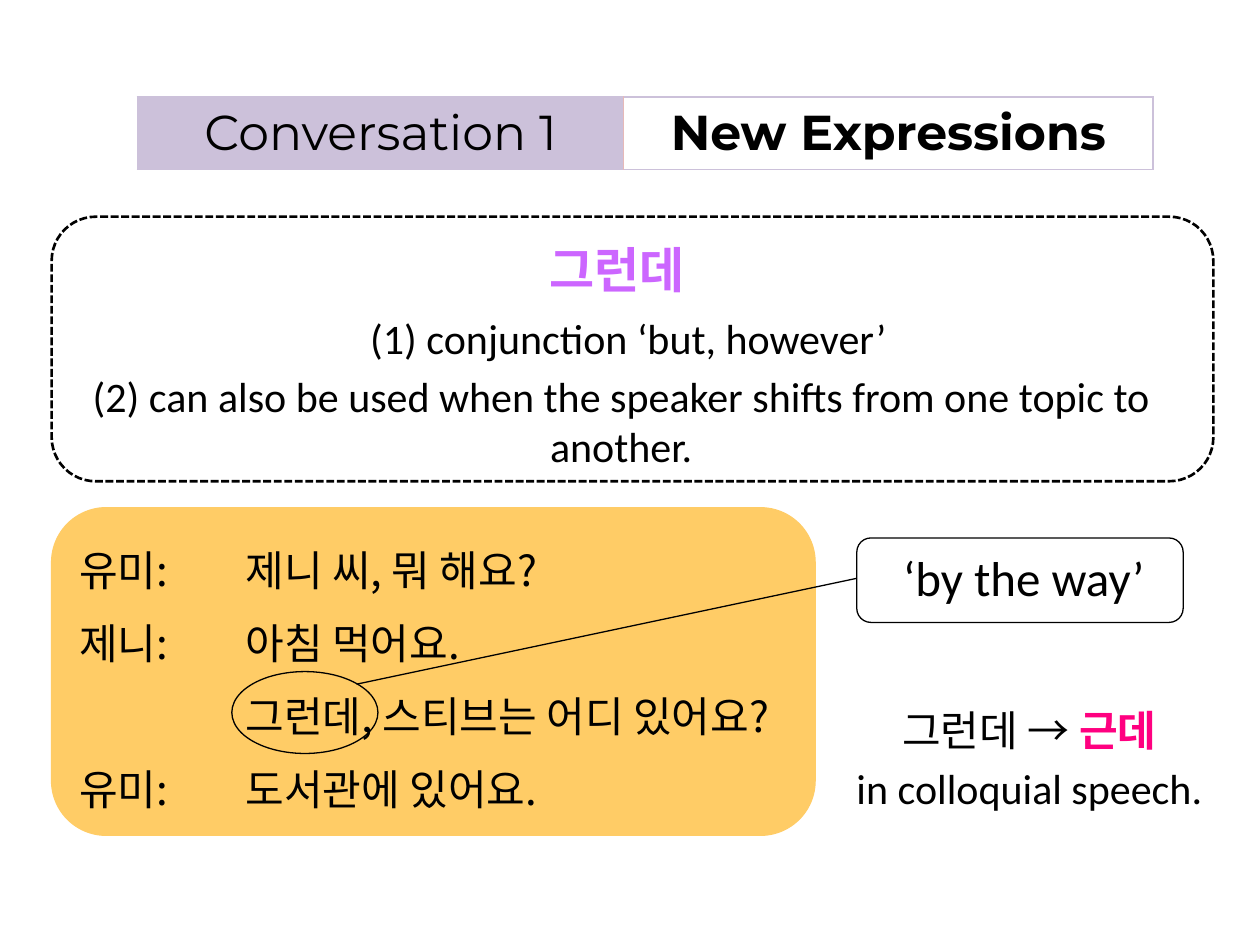
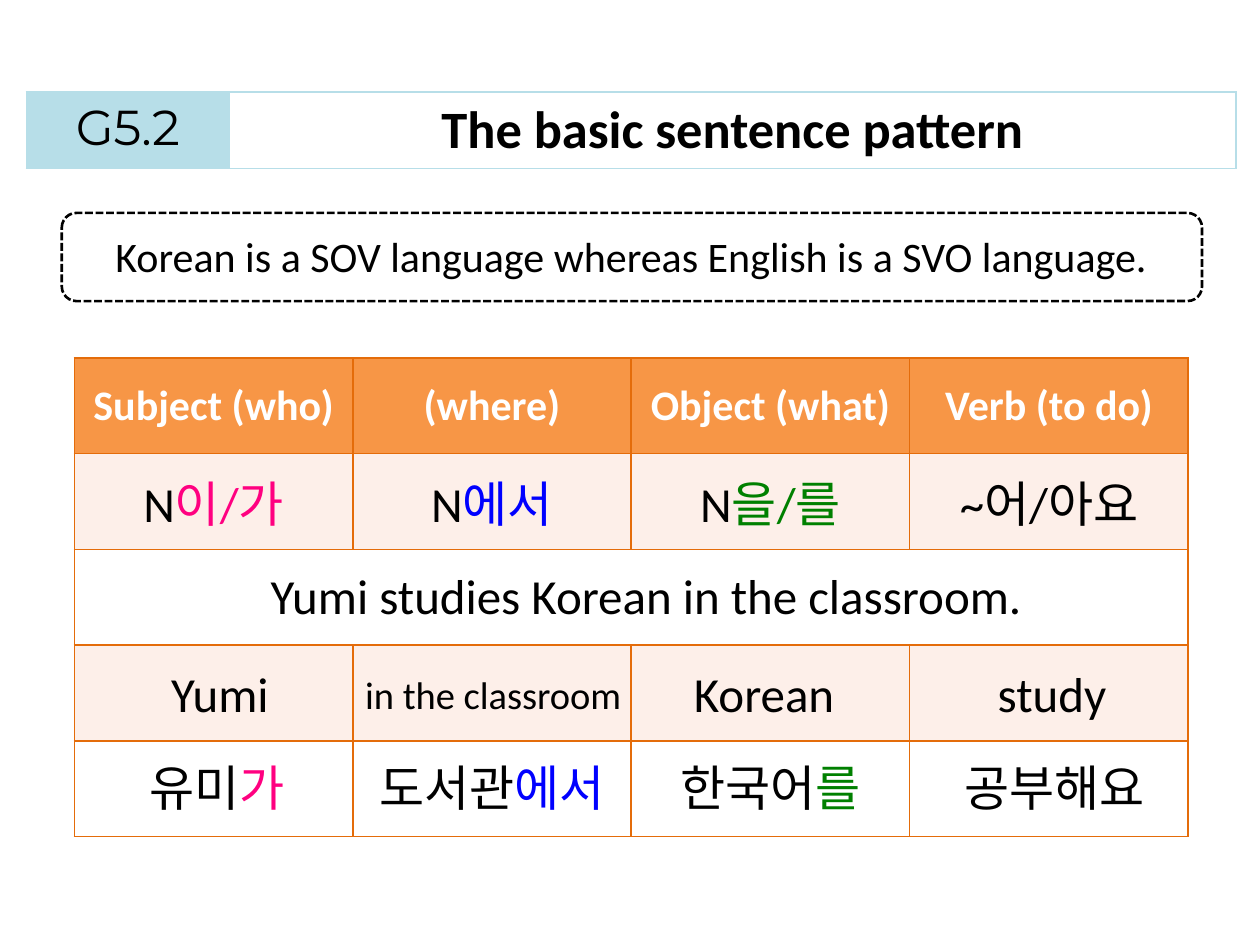
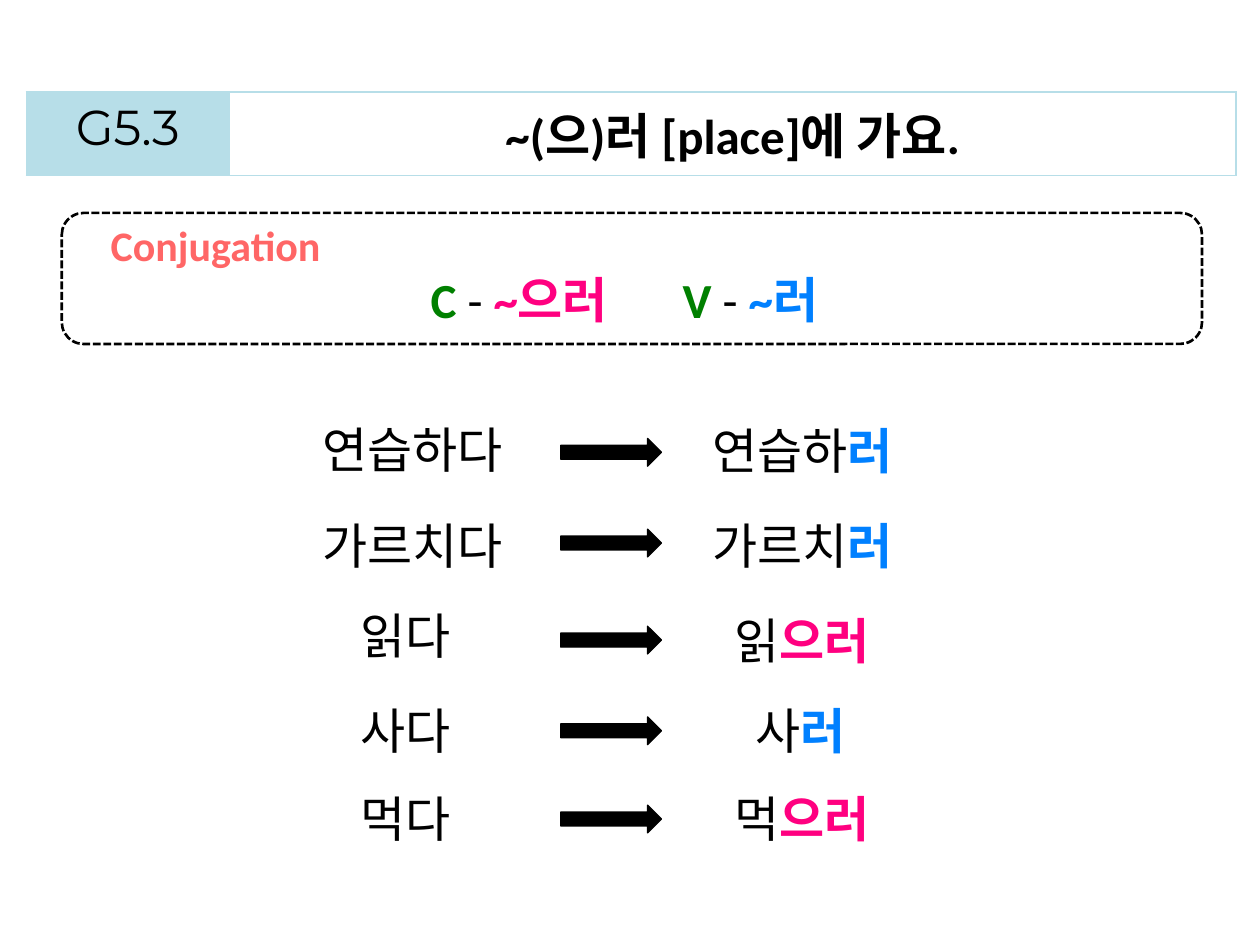
"""Builds three Korean lesson slides: new expressions, sentence pattern, conjugation."""
from lxml.etree import SubElement
from pptx import Presentation
from pptx.dml.color import RGBColor
from pptx.enum.dml import MSO_LINE
from pptx.enum.shapes import MSO_CONNECTOR, MSO_SHAPE
from pptx.enum.text import MSO_ANCHOR, MSO_AUTO_SIZE, PP_ALIGN
from pptx.oxml.ns import qn
from pptx.util import Inches, Pt

HEX = {
    "black": "000000", "white": "FFFFFF", "lilac": "CCC1DA", "rose": "E6B9B8",
    "sky": "B7DEE8", "violet": "CC66FF", "gold": "FFCC66", "pink": "FF0080",
    "blue": "0000FF", "azure": "0080FF", "green": "008000", "coral": "FF6666",
    "rust": "E46C0A", "orange": "F79646", "blush": "FDEFE9",
}
LATIN, HEAD, HANGUL = "Calibri", "Montserrat", "Noto Sans CJK KR"
MID = PP_ALIGN.CENTER


def rgb(name):
    return RGBColor.from_string(HEX[name])


class Deck:
    """Holds the shared style and the current slide."""

    def __init__(self):
        self.prs = Presentation()
        self.prs.slide_width, self.prs.slide_height = Inches(10), Inches(7.5)

    def page(self):
        self.shapes = self.prs.slides.add_slide(self.prs.slide_layouts[6]).shapes

    def para(self, para, runs, size=28, face=LATIN, color="black", bold=False,
             align=PP_ALIGN.LEFT, lead=None, tab=None, hang=None):
        props = para._p.get_or_add_pPr()
        if hang:
            props.set("marL", str(Inches(hang)))
            props.set("indent", str(-Inches(hang)))
        if tab:
            stops = SubElement(props, qn("a:tabLst"))
            SubElement(stops, qn("a:tab"), pos=str(Inches(tab)), algn="l")
        para.alignment = align
        if lead:
            para.line_spacing = Pt(lead)
        font = para.font
        font.size, font.name, font.bold = Pt(size), face, bold
        font.color.rgb = rgb(color)
        SubElement(props.find(qn("a:defRPr")), qn("a:ea"), typeface=HANGUL)
        for item in [runs] if isinstance(runs, str) else runs:
            words, tint, heavy = (item, None, None) if isinstance(item, str) else item
            run = para.add_run()
            run.text = words
            if tint:
                run.font.color.rgb = rgb(tint)
                run.font.bold = heavy

    def text(self, at, *paras, wrap=False, **style):
        frame = self.shapes.add_textbox(*map(Inches, at)).text_frame
        frame.word_wrap = wrap
        frame.auto_size = MSO_AUTO_SIZE.SHAPE_TO_FIT_TEXT
        for i, runs in enumerate(paras):
            self.para(frame.add_paragraph() if i else frame.paragraphs[0], runs, **style)
        return frame

    def shape(self, kind, at, fill=None, line="black", width=0.75, dash=None):
        shape = self.shapes.add_shape(kind, *map(Inches, at))
        shape.shadow.inherit = False
        if fill:
            shape.fill.solid()
            shape.fill.fore_color.rgb = rgb(fill)
        else:
            shape.fill.background()
        shape.line.color.rgb = rgb(line)
        shape.line.width = Pt(width)
        if dash:
            shape.line.dash_style = dash

    def frame(self, at):
        self.shape(MSO_SHAPE.ROUNDED_RECTANGLE, at, width=1.5, dash=MSO_LINE.SQUARE_DOT)

    def link(self, *ends):
        line = self.shapes.add_connector(MSO_CONNECTOR.STRAIGHT, *map(Inches, ends))
        line.line.color.rgb = rgb("black")
        line.line.width = Pt(0.75)
        SubElement(line._element.spPr, qn("a:effectLst"))

    def grid(self, at, cols, rows):
        table = self.shapes.add_table(len(rows), len(cols), *map(Inches, at)).table
        table.first_row = table.horz_banding = False
        for col, width in zip(table.columns, cols):
            col.width = Inches(width)
        for row, height in zip(table.rows, rows):
            row.height = Inches(height)
        return table

    def cell(self, cell, fill, edge, **sides):
        props = cell._tc.get_or_add_tcPr()
        for side in "LRTB":
            line = SubElement(props, qn(f"a:ln{side}"), w=str(Pt(1)))
            paint = SubElement(line, qn("a:solidFill"))
            SubElement(paint, qn("a:srgbClr"), val=HEX[sides.get(side, edge)])
        if fill:
            cell.fill.solid()
            cell.fill.fore_color.rgb = rgb(fill)
        else:
            cell.fill.background()

    def band(self, at, cols, tag, title, tint, inner=None, size=28, face=LATIN):
        tag_cell, title_cell = self.grid(at, cols, [0.55]).rows[0].cells
        self.cell(tag_cell, tint, tint, R=inner or tint)
        self.cell(title_cell, None, tint, L=inner or tint)
        self.para(tag_cell.text_frame.paragraphs[0], tag, face=HEAD, align=MID)
        self.para(title_cell.text_frame.paragraphs[0], title, size=size, face=face,
                  bold=True, align=MID)

    def rule(self, tag, title, size=28):
        self.band((0.21, 0.73, 9.6, 0.55), (1.61, 7.99), tag, title, "sky", size=size)


def talk(deck):
    deck.page()
    deck.band((1.09, 0.77, 8.06, 0.55), (3.86, 4.2), "Conversation 1",
              "New Expressions", "lilac", "rose", face=HEAD)
    deck.text((4.26, 1.78, 1.6, 0.63), "그런데", wrap=True, color="violet",
              bold=True, lead=38.6)
    deck.frame((0.41, 1.72, 9.22, 2.1))
    deck.text((0.47, 2.89, 8.92, 0.91), "(2) can also be used when the speaker shifts "
              "from one topic to another.", wrap=True, size=24, align=MID)
    deck.text((2.84, 2.43, 4.34, 0.5), "(1) conjunction ‘but, however’", size=24)
    deck.shape(MSO_SHAPE.ROUNDED_RECTANGLE, (0.41, 4.03, 6.06, 2.6), "gold", "gold")
    deck.text((0.53, 4.09, 6.1, 2.42), "유미:\t제니 씨, 뭐 해요?", "제니:\t아침 먹어요.",
              "\t그런데, 스티브는 어디 있어요?", "유미:\t도서관에 있어요.",
              wrap=True, size=24, face=HANGUL, lead=41.8, tab=1.32)
    deck.shape(MSO_SHAPE.OVAL, (1.84, 5.33, 1.16, 0.65))
    deck.link(2.83, 5.43, 6.8, 4.59)
    deck.text((7.07, 4.3, 2.14, 0.57), "‘by the way’")
    deck.shape(MSO_SHAPE.ROUNDED_RECTANGLE, (6.8, 4.27, 2.59, 0.67))
    deck.text((6.56, 5.49, 3.22, 1.01), ["그런데 → ", ("근데", "pink", True)],
              "in colloquial speech.", wrap=True, size=24, align=MID, lead=32.8, hang=0.56)


def order(deck):
    deck.page()
    deck.rule("G5.2", "The basic sentence pattern", 30)
    deck.frame((0.49, 1.69, 9.05, 0.7))
    deck.text((0.59, 1.78, 8.84, 0.5), "Korean is a SOV language whereas English is a "
              "SVO language.", wrap=True, size=24, align=MID)

    table = deck.grid((0.59, 2.84, 8.84, 3.8), [2.21] * 4, [0.76] * 5)
    fills = ("orange", "blush", "white", "blush", "white")
    for row, fill in zip(table.rows, fills):
        for cell in row.cells:
            deck.cell(cell, fill, "rust")
            cell.vertical_anchor = MSO_ANCHOR.MIDDLE
    table.cell(2, 0).merge(table.cell(2, 3))
    heads = ("Subject (who)", "(where)", "Object (what)", "Verb (to do)")
    forms = (["N", ("이/가", "pink", False)], ["N", ("에서", "blue", False)],
             ["N", ("을/를", "green", False)], "~어/아요")
    for col, (head, form) in enumerate(zip(heads, forms)):
        deck.para(table.cell(0, col).text_frame.paragraphs[0], head, size=24,
                  color="white", bold=True, align=MID)
        deck.para(table.cell(1, col).text_frame.paragraphs[0], form, align=MID)

    deck.text((2.05, 4.44, 6.27, 0.57), "Yumi studies Korean in the classroom.")
    korean = ((1.09, 1.31, ["유미", ("가", "pink", False)]),
              (2.91, 2.05, ["도서관", ("에서", "blue", False)]),
              (5.3, 1.68, ["한국어", ("를", "green", False)]),
              (7.56, 1.68, "공부해요"))
    for left, width, runs in korean:
        deck.text((left, 5.96, width, 0.57), runs, face=HANGUL)
    gloss = ((1.26, 5.22, 1, 28, "Yumi"), (2.8, 5.28, 2.26, 22, "in the classroom"),
             (5.41, 5.22, 1.34, 28, "Korean"), (7.82, 5.22, 1.09, 28, "study"))
    for left, top, width, size, word in gloss:
        deck.text((left, top, width, 0.57), word, size=size)


def verbs(deck):
    deck.page()
    deck.rule("G5.3", "~(으)러 [place]에 가요.")
    deck.frame((0.49, 1.69, 9.05, 1.04))
    box = deck.text((0.78, 1.69, 8.35, 0.98), "Conjugation", wrap=True, size=24,
                    color="coral", bold=True)
    deck.para(box.add_paragraph(), [
        ("C", "green", True), " - ", ("~으러\t\t", "pink", True),
        ("V", "green", True), " - ", ("~러", "azure", True)], align=MID)

    pairs = (("연습하다", 2.46, 3.28, 3.48, "연습하", "러", 5.56, 3.29),
             ("가르치다", 2.46, 4.04, 4.2, "가르치", "러", 5.56, 4.04),
             ("읽다", 2.76, 4.76, 4.97, "읽", "으러", 5.73, 4.8),
             ("사다", 2.76, 5.51, 5.69, "사", "러", 5.9, 5.51),
             ("먹다", 2.76, 6.21, 6.39, "먹", "으러", 5.73, 6.21))
    for verb, left, top, tip, stem, end, right, low in pairs:
        deck.text((left, top, 0.2 + 0.37 * len(verb), 0.57), verb, face=HANGUL)
        deck.shape(MSO_SHAPE.RIGHT_ARROW, (4.45, tip, 0.8, 0.22), "black")
        tint = "azure" if end == "러" else "pink"
        deck.text((right, low, 0.2 + 0.37 * len(stem + end), 0.57),
                  [stem, (end, tint, True)], face=HANGUL)


def main():
    deck = Deck()
    for build in (talk, order, verbs):
        build(deck)
    deck.prs.save("out.pptx")


if __name__ == "__main__":
    main()
